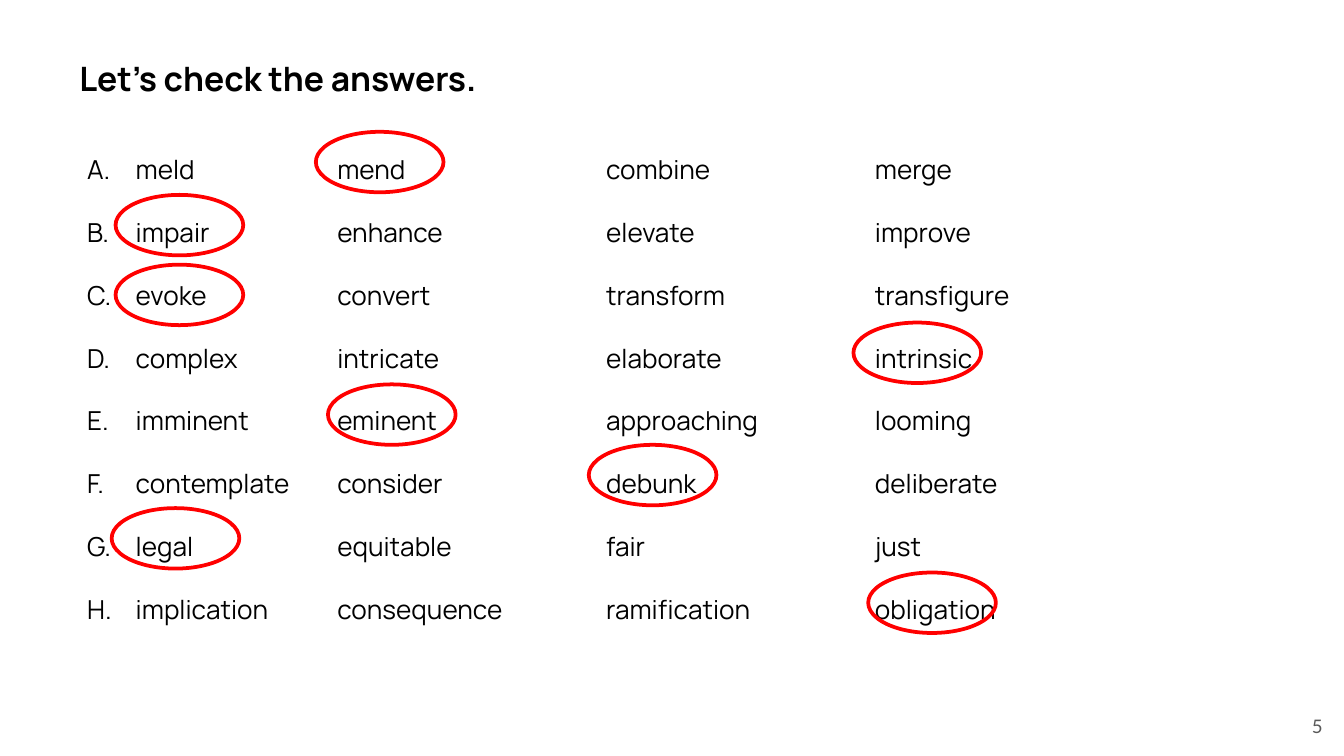
import lxml.etree
import pptx
import pptx.dml.color
import pptx.enum.shapes
import pptx.enum.text
import pptx.oxml.ns
import pptx.util

Pt = pptx.util.Pt
qn = pptx.oxml.ns.qn


def color(hex_string):
    return pptx.dml.color.RGBColor.from_string(hex_string)


def place_text(shape, box, anchor):
    """Move a text shape and give its frame wrapping and even margins."""
    shape.left, shape.top, shape.width, shape.height = map(Pt, box)
    frame = shape.text_frame
    frame.word_wrap = True
    frame.auto_size = pptx.enum.text.MSO_AUTO_SIZE.NONE
    frame.vertical_anchor = anchor
    frame.margin_left = frame.margin_right = Pt(7.2)
    frame.margin_top = frame.margin_bottom = Pt(7.2)
    return frame


TOP = pptx.enum.text.MSO_ANCHOR.TOP
MIDDLE = pptx.enum.text.MSO_ANCHOR.MIDDLE
LEFT = pptx.enum.text.PP_ALIGN.LEFT
RIGHT = pptx.enum.text.PP_ALIGN.RIGHT

WORD_ROWS = [
    ("meld", "mend", "combine", "merge"),
    ("impair", "enhance", "elevate", "improve"),
    ("evoke", "convert", "transform", "transfigure"),
    ("complex", "intricate", "elaborate", "intrinsic"),
    ("imminent", "eminent", "approaching", "looming"),
    ("contemplate", "consider", "debunk", "deliberate"),
    ("legal", "equitable", "fair", "just"),
    ("implication", "consequence", "ramification", "obligation"),
]
COLUMN_STEP = 144
# Left and top of the ring around each row's answer
ANSWER_RINGS = [
    (169.2, 70.6), (61.9, 104.4), (61.9, 141.8), (457.2, 172.8),
    (175.7, 205.9), (315.4, 238.3), (59.8, 272.2), (465.1, 306.7),
]

presentation = pptx.Presentation()
presentation.slide_width = Pt(720)
presentation.slide_height = Pt(405)
slide = presentation.slides.add_slide(presentation.slide_layouts[1])
title, body = slide.placeholders

# Slide number
number = slide.shapes.add_textbox(0, 0, 0, 0)
paragraph = place_text(number, (672.5, 373.7, 43.2, 31), MIDDLE).paragraphs[0]
paragraph.text = "5"
paragraph.alignment = RIGHT
paragraph.font.name = "Lato"
paragraph.font.size = Pt(10)
paragraph.font.color.rgb = color("595959")

# Title
paragraph = place_text(title, (35.3, 23.8, 575.3, 34.6), TOP).paragraphs[0]
paragraph.text = "Let’s check the answers."
paragraph.alignment = LEFT
paragraph.font.name = "Manrope"
paragraph.font.size = Pt(18)
paragraph.font.bold = True
paragraph.font.color.rgb = color("000000")

# Lettered rows of words, aligned on tab stops
frame = place_text(body, (29.5, 58.3, 616.3, 299.5), TOP)
for index, words in enumerate(WORD_ROWS):
    paragraph = frame.paragraphs[0] if index == 0 else frame.add_paragraph()
    paragraph.text = "\t".join(words)
    paragraph.alignment = LEFT
    paragraph.line_spacing = 2.0
    paragraph.space_before = Pt(0)
    properties = paragraph._p.get_or_add_pPr()
    properties.set("marL", str(Pt(36)))
    properties.set("indent", str(Pt(-26)))
    bullet_color = lxml.etree.SubElement(properties, qn("a:buClr"))
    lxml.etree.SubElement(bullet_color, qn("a:srgbClr"), val="000000")
    lxml.etree.SubElement(properties, qn("a:buFont"), typeface="Manrope")
    lxml.etree.SubElement(properties, qn("a:buAutoNum"), type="alphaUcPeriod")
    tabs = lxml.etree.SubElement(properties, qn("a:tabLst"))
    for column in range(1, len(words)):
        lxml.etree.SubElement(tabs, qn("a:tab"), pos=str(Pt(column * COLUMN_STEP)), algn="l")
    paragraph.font.name = "Manrope"
    paragraph.font.size = Pt(14)
    paragraph.font.color.rgb = color("000000")

# Rings around the answers
for left, top in ANSWER_RINGS:
    ring = slide.shapes.add_shape(
        pptx.enum.shapes.MSO_SHAPE.OVAL, Pt(left), Pt(top), Pt(68.4), Pt(32.4))
    ring.shadow.inherit = False
    ring.fill.background()
    ring.line.color.rgb = color("FF0000")
    ring.line.width = Pt(2)

presentation.save("out.pptx")
